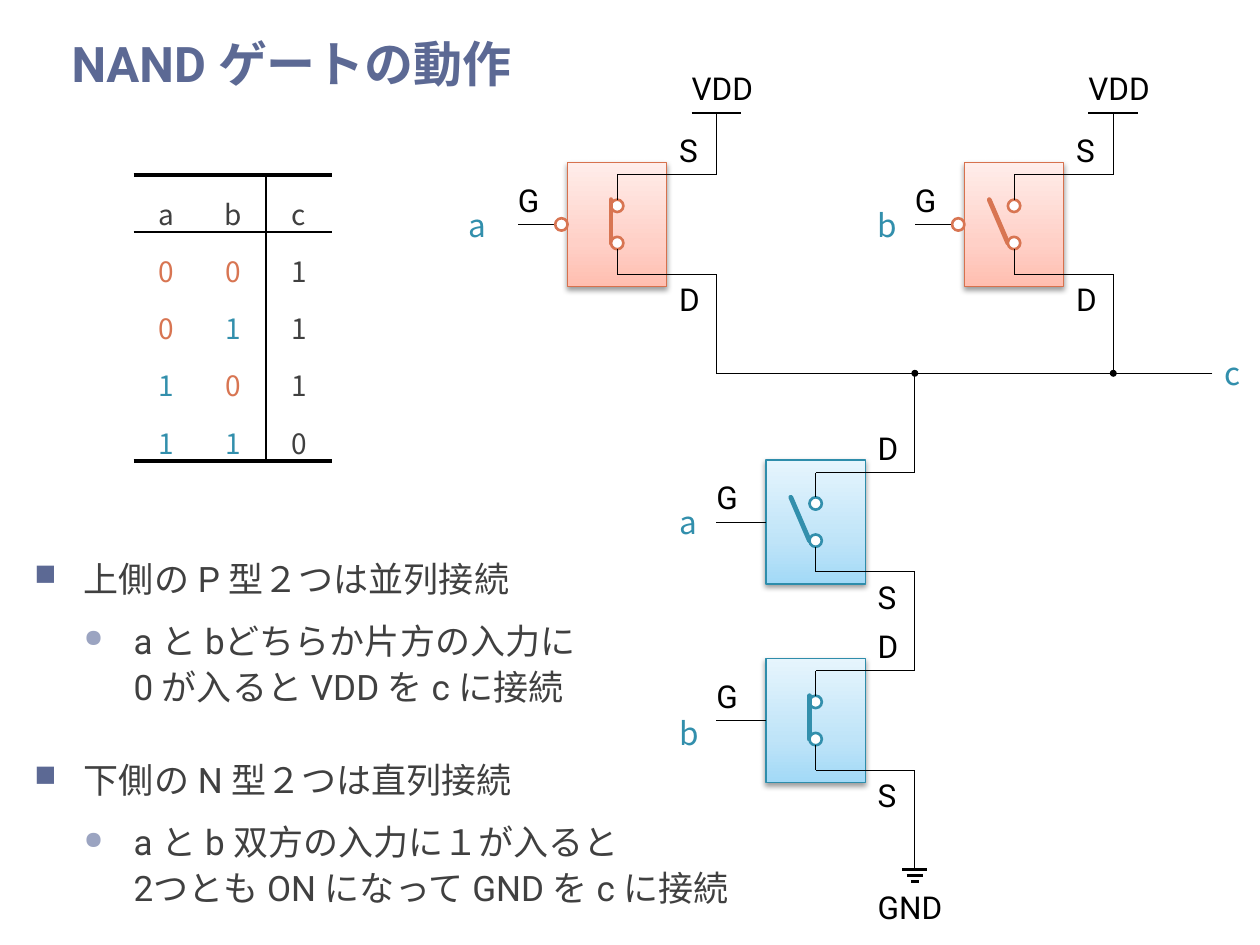
from dataclasses import dataclass
from typing import NamedTuple

from lxml.etree import SubElement
from pptx import Presentation
from pptx.dml.color import RGBColor
from pptx.enum.shapes import MSO_CONNECTOR, MSO_SHAPE
from pptx.enum.text import MSO_ANCHOR, PP_ALIGN
from pptx.oxml import parse_xml
from pptx.oxml.ns import nsdecls, qn
from pptx.util import Emu, Inches, Pt


@dataclass(frozen=True)
class Theme:
    black: str = "000000"
    white: str = "FFFFFF"
    body: str = "404040"
    title: str = "5C6994"
    sub_bullet: str = "9BA4C1"
    one: str = "328FAC"
    zero: str = "D87552"
    latin: str = "Roboto"
    japanese: str = "Noto Sans CJK JP"
    title_size: int = 28
    body_size: int = 20
    label_size: int = 18
    table_size: int = 16
    wire: float = 0.5
    bar: float = 1.5
    lever: float = 2.75


class Kind(NamedTuple):
    accent: str
    outline: str
    gradient: tuple[str, str, str]
    upper: str
    lower: str
    inverted: bool


class Switch(NamedTuple):
    kind: Kind
    column: float
    row: float
    closed: bool


class Bullet(NamedTuple):
    level: int
    text: str


THEME = Theme()
P_TYPE = Kind(THEME.zero, "D7714D", ("FFBEB0", "FFD0C7", "FFEDEA"), "S", "D", True)
N_TYPE = Kind(THEME.one, "2E8DAB", ("A2D9F7", "BFE4F8", "E6F5FD"), "D", "S", False)
SWITCHES = [Switch(N_TYPE, 62, 37, False), Switch(N_TYPE, 62, 53, True),
            Switch(P_TYPE, 46, 13, True), Switch(P_TYPE, 78, 13, False)]
# Wires: start column, start row, end column, end row, dot at the start
WIRES = [(98, 30, 58, 30, False), (74, 30, 74, 38, True), (58, 30, 58, 22, False),
         (74, 54, 74, 46, False), (74, 70, 74, 62, False), (90, 30, 90, 22, True)]
SIGNALS = [("a", 37, 16), ("b", 70, 16), ("a", 54, 40), ("b", 54, 57), ("c", 98, 28)]
TRUTH = ["abc", "001", "011", "101", "110"]
BULLETS = [Bullet(0, "上側の P 型２つは並列接続"),
           Bullet(1, "a と bどちらか片方の入力に\v0 が入ると VDD を c に接続"),
           Bullet(0, "下側の N 型２つは直列接続"),
           Bullet(1, "a と b 双方の入力に１が入ると\v2つとも ON になって GND を c に接続")]


# Grid of quarter centimetres
def span(units: float) -> Emu:
    return Emu(round(units * 90000))


def across(column: float) -> Emu:
    return span(column - 0.23)


def down(row: float) -> Emu:
    return span(row + 0.1)


def color(value: str) -> RGBColor:
    return RGBColor.from_string(value)


def write(paragraph, text: str, *, size: float, ink: str = THEME.black,
          font: str = THEME.latin, bold: bool = False) -> None:
    paragraph.text = text
    for run in paragraph.runs:
        run.font.size, run.font.bold, run.font.name = Pt(size), bold, font
        run.font.color.rgb = color(ink)
        SubElement(run.font._element, qn("a:ea")).set("typeface", font)


def add_label(shapes, text: str, column: float, row: float, width: float = 4,
              height: float = 4, **style) -> None:
    box = shapes.add_textbox(across(column), down(row), span(width), span(height))
    box.text_frame.word_wrap = False
    box.text_frame.vertical_anchor = MSO_ANCHOR.MIDDLE
    write(box.text_frame.paragraphs[0], text, **{"size": THEME.label_size, **style})


def add_line(shapes, x1: float, y1: float, x2: float, y2: float, ink: str = THEME.black,
             width: float = THEME.wire, dot: bool = False):
    line = shapes.add_connector(MSO_CONNECTOR.STRAIGHT, across(x1), down(y1),
                                across(x2), down(y2))
    line.line.color.rgb = color(ink)
    line.line.width = Pt(width)
    if dot:
        SubElement(line.line._get_or_add_ln(), qn("a:headEnd"), type="oval", w="sm", len="sm")
    SubElement(line._element.spPr, qn("a:effectLst"))
    return line


def add_contact(shapes, column: float, row: float, ink: str) -> None:
    circle = shapes.add_shape(MSO_SHAPE.OVAL, across(column - 0.5), down(row - 0.5),
                              span(1), span(1))
    circle.shadow.inherit = False
    circle.fill.solid()
    circle.fill.fore_color.rgb = color(THEME.white)
    circle.line.color.rgb = color(ink)
    circle.line.width = Pt(1.5)


def add_body(shapes, switch: Switch):
    body = shapes.add_shape(MSO_SHAPE.RECTANGLE, across(switch.column), down(switch.row),
                            span(8), span(10))
    body.line.color.rgb = color(switch.kind.outline)
    body.line.width = Pt(0.75)
    stops = "".join(f'<a:gs pos="{place}000"><a:srgbClr val="{ink}"/></a:gs>'
                    for place, ink in zip((0, 35, 100), switch.kind.gradient))
    properties = body._element.spPr
    properties.find(qn("a:ln")).addprevious(parse_xml(
        f'<a:gradFill {nsdecls("a")} rotWithShape="1"><a:gsLst>{stops}</a:gsLst>'
        '<a:lin ang="16200000" scaled="0"/></a:gradFill>'))
    properties.append(parse_xml(
        f'<a:effectLst {nsdecls("a")}><a:outerShdw blurRad="{Pt(3.1)}" dist="{Pt(1.6)}" '
        'dir="5400000" rotWithShape="0"><a:srgbClr val="000000"><a:alpha val="38000"/>'
        '</a:srgbClr></a:outerShdw></a:effectLst>'))
    return body


def add_switch(slide, switch: Switch) -> None:
    shapes = slide.shapes.add_group_shape().shapes
    kind, column, row, closed = switch
    middle = column + 4
    body = add_body(shapes, switch)
    gate = add_line(shapes, column, row + 5, column - 4, row + 5)
    gate.begin_connect(body, 1)
    add_contact(shapes, middle, row + 3.5, kind.accent)
    lever = add_line(shapes, middle - (0.5 if closed else 2), row + 3, middle - 0.5, row + 6.5,
                     kind.accent, THEME.lever)
    lever.line._get_or_add_ln().set("cap", "rnd")
    add_contact(shapes, middle, row + 6.5, kind.accent)
    for terminal, contact in ((1, 3), (9, 7)):
        add_line(shapes, middle, row + terminal, middle, row + contact)
        add_line(shapes, column + 12, row + terminal, middle, row + terminal)
    add_label(shapes, "G", column - 5, row + 1)
    add_label(shapes, kind.upper, column + 8, row - 3)
    add_label(shapes, kind.lower, column + 8, row + 9)
    if kind.inverted:
        add_contact(shapes, column - 0.5, row + 5, kind.accent)


def add_supply(slide, column: float, row: float) -> None:
    shapes = slide.shapes.add_group_shape().shapes
    add_line(shapes, column, row + 5, column, row)
    add_line(shapes, column - 2, row, column + 2, row, width=THEME.bar)
    add_label(shapes, "VDD", column - 3, row - 4, width=8)


def add_ground(slide, column: float, row: float) -> None:
    shapes = slide.shapes.add_group_shape().shapes
    for step, half in enumerate((1, 0.67, 0.33)):
        level = row + step / 2
        add_line(shapes, column - half, level, column + half, level, width=THEME.bar)
    add_line(shapes, column, row, column, row - 5)
    add_label(shapes, "GND", column - 4, row + 1, width=8)


def add_bullets(slide) -> None:
    box = slide.shapes.add_textbox(across(2), down(44), span(92), span(7))
    frame = box.text_frame
    frame.word_wrap = True
    for index, bullet in enumerate(BULLETS):
        paragraph = frame.add_paragraph() if index else frame.paragraphs[0]
        mark, ink, size, before, after = (("●", THEME.sub_bullet, 70, 3, 3) if bullet.level
                                          else ("■", THEME.title, 85, 24, 6))
        paragraph.level = bullet.level
        paragraph.line_spacing = 1.1
        paragraph.space_before = Pt(before if index else 0)
        paragraph.space_after = Pt(after)
        properties = paragraph._p.get_or_add_pPr()
        properties.set("marL", str(span(4 * (bullet.level + 1))))
        properties.set("indent", str(span(-4)))
        tint = SubElement(properties, qn("a:buClr"))
        SubElement(tint, qn("a:srgbClr")).set("val", ink)
        SubElement(properties, qn("a:buSzPct")).set("val", f"{size}000")
        SubElement(properties, qn("a:buChar")).set("char", mark)
        write(paragraph, bullet.text, size=THEME.body_size, ink=THEME.body)


def add_border(cell, side: str, width: float) -> None:
    border = SubElement(cell._tc.get_or_add_tcPr(), qn(f"a:ln{side}"), w=str(Pt(width)))
    if width:
        SubElement(SubElement(border, qn("a:solidFill")), qn("a:srgbClr")).set("val", THEME.black)
    else:
        SubElement(border, qn("a:noFill"))


def add_truth_table(slide) -> None:
    rules = [2.25, 1] + [0] * (len(TRUTH) - 2) + [2.25]
    dividers = [0, 0, 1, 0]
    table = slide.shapes.add_table(len(TRUTH), 3, across(11), down(14), span(16),
                                   Inches(2.27)).table
    table.first_row = table.horz_banding = False
    table._tbl.tblPr.find(qn("a:tableStyleId")).text = "{2D5ABB26-0587-4C30-8999-92F81FD0307C}"
    inks = {"0": THEME.zero, "1": THEME.one}
    for row, values in enumerate(TRUTH):
        for column, value in enumerate(values):
            cell = table.cell(row, column)
            cell.margin_top = Inches(0.08)
            cell.vertical_anchor = MSO_ANCHOR.MIDDLE
            for side, width in zip("LRTB", dividers[column:column + 2] + rules[row:row + 2]):
                add_border(cell, side, width)
            cell.fill.background()
            paragraph = cell.text_frame.paragraphs[0]
            paragraph.alignment = PP_ALIGN.CENTER
            paragraph.line_spacing = 1.2
            ink = THEME.body if column == 2 else inks.get(value, THEME.body)
            write(paragraph, value, size=THEME.table_size, ink=ink, font=THEME.japanese)


def main() -> None:
    presentation = Presentation()
    presentation.slide_width, presentation.slide_height = Inches(10), Inches(7.5)
    slide = presentation.slides.add_slide(presentation.slide_layouts[6])
    # Title and explanation
    add_label(slide.shapes, "NAND ゲートの動作", 5, 0, 97, 10, size=THEME.title_size,
              ink=THEME.title, bold=True)
    add_bullets(slide)
    # Circuit
    for switch in SWITCHES:
        add_switch(slide, switch)
    for *ends, dot in WIRES:
        add_line(slide.shapes, *ends, dot=dot)
    for name, column, row in SIGNALS:
        add_label(slide.shapes, name, column, row, ink=THEME.one, font=THEME.japanese)
    add_ground(slide, 74, 70)
    for column in (58, 90):
        add_supply(slide, column, 9)
    # Truth table
    add_truth_table(slide)
    presentation.save("out.pptx")


if __name__ == "__main__":
    main()
